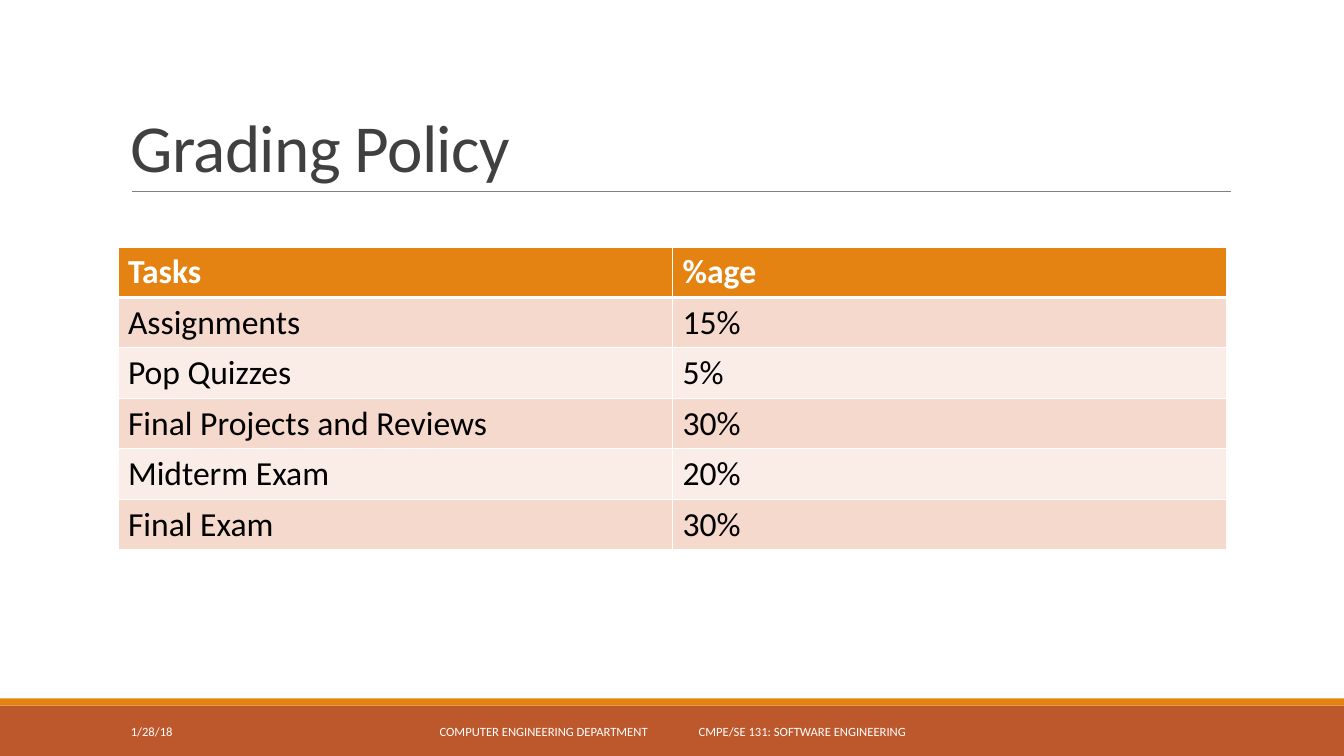
"""Build the Grading Policy slide with its weighting table."""
import pptx
import pptx.dml.color
import pptx.enum.shapes
import pptx.enum.text
import pptx.oxml
import pptx.oxml.ns
import pptx.util
from lxml import etree

SLIDE_WIDTH, SLIDE_HEIGHT = 13.33, 7.5
FONT = "Calibri"
COLOURS = {
    "orange": "E48312",
    "rust": "BD582C",
    "rule": "808080",
    "title": "404040",
    "white": "FFFFFF",
    "black": "000000",
    "dark band": "F5D9CC",
    "light band": "FAEDE7",
}
GRADING = [
    ("Tasks", "%age"),
    ("Assignments", "15%"),
    ("Pop Quizzes", "5%"),
    ("Final Projects and Reviews", "30%"),
    ("Midterm Exam", "20%"),
    ("Final Exam", "30%"),
]
COLUMN_WIDTH, ROW_HEIGHT = 5.5, 0.5
FOOTER_TOP, FOOTER_HEIGHT = 7.06, 0.4


def inches(*lengths):
    return [pptx.util.Inches(length) for length in lengths]


def colour(name):
    return pptx.dml.color.RGBColor.from_string(COLOURS[name])


def style(paragraph, size, colour_name, bold=False):
    font = paragraph.font
    font.name, font.size, font.bold = FONT, pptx.util.Pt(size), bold
    font.color.rgb = colour(colour_name)


def add_bar(slide, top, height, colour_name):
    bar = slide.shapes.add_shape(
        pptx.enum.shapes.MSO_SHAPE.RECTANGLE, *inches(0, top, SLIDE_WIDTH, height))
    bar.shadow.inherit = False
    bar.fill.solid()
    bar.fill.fore_color.rgb = colour(colour_name)
    bar.line.fill.background()


def add_rule(slide, left, right, top):
    rule = slide.shapes.add_connector(
        pptx.enum.shapes.MSO_CONNECTOR.STRAIGHT, *inches(left, top, right, top))
    rule.line.color.rgb = colour("rule")
    rule.line.width = pptx.util.Pt(0.5)
    etree.SubElement(rule._element.spPr, pptx.oxml.ns.qn("a:effectLst"))


def add_text(slide, box, text, size, colour_name, anchor):
    frame = slide.shapes.add_textbox(*inches(*box)).text_frame
    frame.word_wrap = True
    frame.vertical_anchor = anchor
    paragraph = frame.paragraphs[0]
    paragraph.text = text
    style(paragraph, size, colour_name)
    return frame


def add_title(slide, text):
    frame = add_text(slide, (1.2, 0.31, 11, 1.59), text, 48, "title",
                     pptx.enum.text.MSO_ANCHOR.BOTTOM)
    paragraph = frame.paragraphs[0]
    paragraph.line_spacing = 0.85
    paragraph.runs[0].font._element.set("spc", "-50")


def add_footer(slide, left, width, text):
    return add_text(slide, (left, FOOTER_TOP, width, FOOTER_HEIGHT), text, 9, "white",
                    pptx.enum.text.MSO_ANCHOR.MIDDLE)


def set_tab_stop(paragraph, position):
    properties = paragraph._p.get_or_add_pPr()
    stops = pptx.oxml.parse_xml(
        f'<a:tabLst {pptx.oxml.ns.nsdecls("a")}>'
        f'<a:tab pos="{pptx.util.Inches(position)}" algn="l"/></a:tabLst>')
    properties.insert_element_before(stops, "a:defRPr", "a:extLst")


def add_borders(cell, top, bottom):
    for side, width in (("L", 1), ("R", 1), ("T", top), ("B", bottom)):
        cell._tc.get_or_add_tcPr().append(pptx.oxml.parse_xml(
            f'<a:ln{side} {pptx.oxml.ns.nsdecls("a")} w="{pptx.util.Pt(width)}">'
            f'<a:solidFill><a:srgbClr val="{COLOURS["white"]}"/></a:solidFill></a:ln{side}>'))


def fill_cell(cell, text, row):
    header = row == 0
    band = "orange" if header else "dark band" if row % 2 else "light band"
    add_borders(cell, top=3 if row == 1 else 1, bottom=3 if header else 1)
    cell.fill.solid()
    cell.fill.fore_color.rgb = colour(band)
    cell.text = text
    style(cell.text_frame.paragraphs[0], 24, "white" if header else "black", header)


def add_grading_table(slide, left, top):
    rows, columns = len(GRADING), len(GRADING[0])
    table = slide.shapes.add_table(rows, columns, *inches(
        left, top, columns * COLUMN_WIDTH, rows * ROW_HEIGHT)).table
    for row, record in enumerate(GRADING):
        for column, text in enumerate(record):
            fill_cell(table.cell(row, column), text, row)


def main():
    deck = pptx.Presentation()
    deck.slide_width, deck.slide_height = inches(SLIDE_WIDTH, SLIDE_HEIGHT)
    slide = deck.slides.add_slide(deck.slide_layouts[6])
    add_bar(slide, 7, 0.5, "rust")
    add_bar(slide, 6.93, 0.07, "orange")
    add_rule(slide, 1.31, 12.21, 1.9)
    add_title(slide, "Grading Policy")
    add_grading_table(slide, 1.17, 2.45)
    add_footer(slide, 1.2, 2.7, "1/28/18")
    course = add_footer(slide, 4.03, 5.27,
                        "COMPUTER ENGINEERING DEPARTMENT\tCMPE/SE 131: SOFTWARE ENGINEERING")
    course.margin_left = pptx.util.Inches(0.33)
    set_tab_stop(course.paragraphs[0], 2.57)
    deck.save("out.pptx")


if __name__ == "__main__":
    main()
